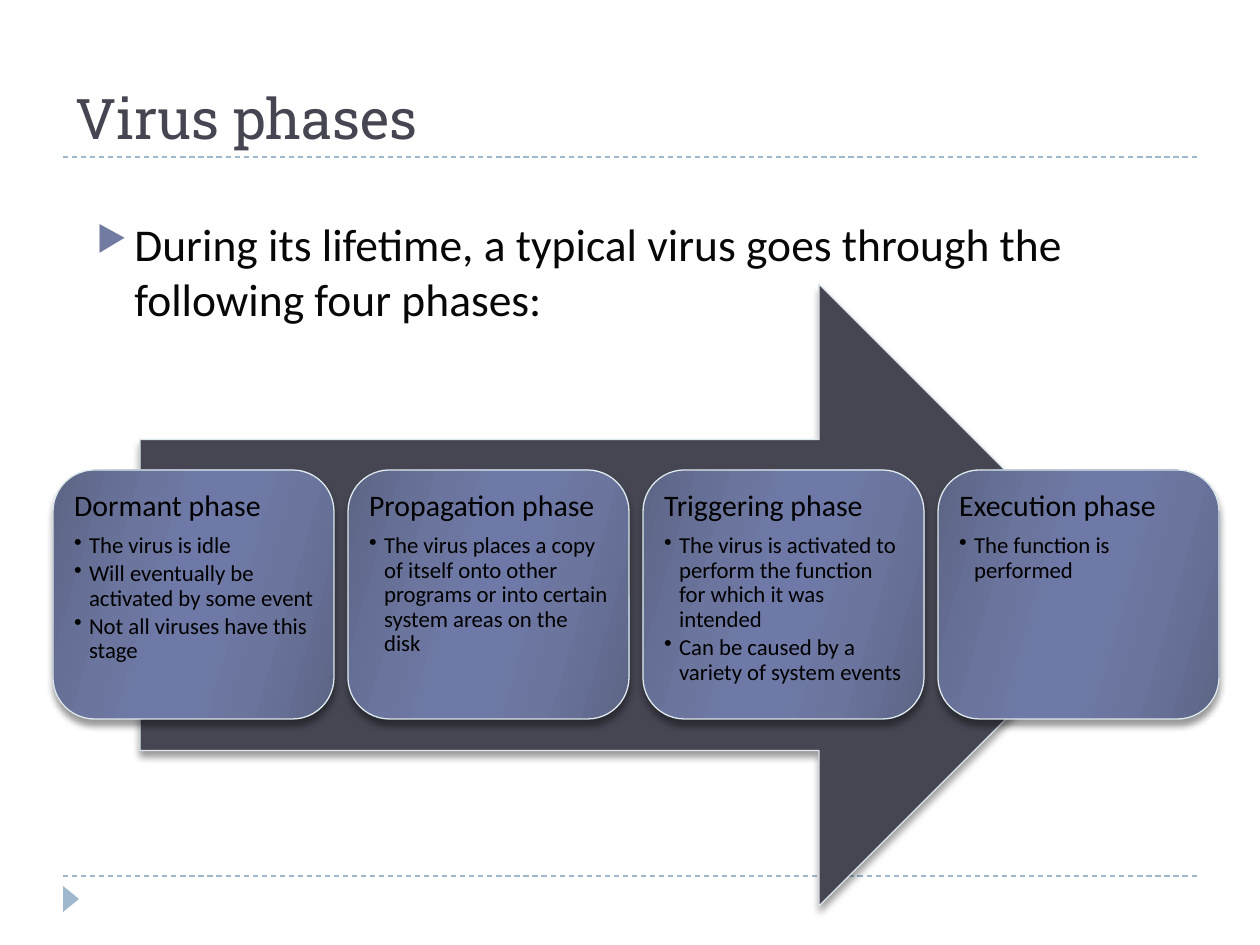
import lxml.etree
import pptx
import pptx.dml.color
import pptx.enum.dml
import pptx.enum.shapes
import pptx.enum.text
import pptx.oxml.ns
import pptx.util

RGBColor = pptx.dml.color.RGBColor
Pt = pptx.util.Pt
qn = pptx.oxml.ns.qn
SHAPES = pptx.enum.shapes.MSO_SHAPE
ANCHORS = pptx.enum.text.MSO_ANCHOR

WHITE = RGBColor(0xFF, 0xFF, 0xFF)
SLATE = RGBColor(0x46, 0x46, 0x53)
PALE_BLUE = RGBColor(0x9F, 0xB8, 0xCD)
OUTLINE = RGBColor(0xDD, 0xE9, 0xEC)
BULLET_BLUE = RGBColor(0x72, 0x7C, 0xA3)
INK = RGBColor(0x07, 0x07, 0x08)
BLACK = RGBColor(0x00, 0x00, 0x00)
CARD_EDGE = RGBColor(0x5D, 0x65, 0x85)
CARD_MIDDLE = RGBColor(0x6B, 0x75, 0x9E)
CARD_CENTER = RGBColor(0x6E, 0x79, 0xA7)
CARD_STOPS = [(0, CARD_EDGE), (30, CARD_MIDDLE), (45, CARD_CENTER),
              (55, CARD_CENTER), (73, CARD_MIDDLE), (100, CARD_EDGE)]
PX = 914400 / 126


def px(*lengths):
    return [round(length * PX) for length in lengths]


def write(paragraph, text, size, color, font="Calibri", bullet=None, indent=0, **formats):
    run = paragraph.add_run()
    run.text = text
    for name, value in {"size": Pt(size), "name": font}.items():
        setattr(run.font, name, value)
    run.font.color.rgb = color
    for name, value in formats.items():
        setattr(paragraph, name, value)
    paragraph.alignment = pptx.enum.text.PP_ALIGN.LEFT
    if bullet:
        properties = paragraph._p.get_or_add_pPr()
        properties.set("marL", str(px(indent)[0]))
        properties.set("indent", str(px(-indent)[0]))
        if bullet == "▶":
            holder = lxml.etree.SubElement(properties, qn("a:buClr"))
            lxml.etree.SubElement(holder, qn("a:srgbClr"), val=str(BULLET_BLUE))
            lxml.etree.SubElement(properties, qn("a:buSzPct"), val="76000")
        lxml.etree.SubElement(properties, qn("a:buChar"), char=bullet)


presentation = pptx.Presentation()
presentation.slide_width, presentation.slide_height = px(1260, 945)
slide = presentation.slides.add_slide(presentation.slide_layouts[6])
slide.background.fill.solid()
slide.background.fill.fore_color.rgb = WHITE

for y in (876, 157):
    rule = slide.shapes.add_connector(
        pptx.enum.shapes.MSO_CONNECTOR.STRAIGHT, *px(63, y, 1197, y))
    rule.line.color.rgb = PALE_BLUE
    rule.line.width = Pt(0.75)
    rule.line.dash_style = pptx.enum.dml.MSO_LINE.DASH
    lxml.etree.SubElement(rule._element.spPr, qn("a:effectLst"))

marker = slide.shapes.add_shape(SHAPES.ISOSCELES_TRIANGLE, *px(58, 891, 26, 16))
marker.rotation = 90
marker.shadow.inherit = False
marker.fill.solid()
marker.fill.fore_color.rgb = PALE_BLUE
marker.line.fill.background()

title = slide.shapes.add_textbox(*px(63, 21, 1134, 136)).text_frame
title.word_wrap = True
title.vertical_anchor = ANCHORS.BOTTOM
write(title.paragraphs[0], "Virus phases", 32, SLATE, "Roboto Slab")

body = slide.shapes.add_textbox(*px(84, 210, 1103, 640)).text_frame
body.word_wrap = True
write(body.paragraphs[0],
      "During its lifetime, a typical virus goes through the following four phases:",
      26, INK, bullet="▶", indent=38, space_before=Pt(6))

arrow = slide.shapes.add_shape(SHAPES.RIGHT_ARROW, *px(140, 284, 990, 622))
arrow.fill.solid()
arrow.fill.fore_color.rgb = SLATE

phases = [
    ("Dormant phase", ["The virus is idle",
                       "Will eventually be activated by some event",
                       "Not all viruses have this stage"]),
    ("Propagation phase", ["The virus places a copy of itself onto other programs "
                           "or into certain system areas on the disk"]),
    ("Triggering phase", ["The virus is activated to perform the function "
                          "for which it was intended",
                          "Can be caused by a variety of system events"]),
    ("Execution phase", ["The function is performed"]),
]
cards = []
for index, (heading, points) in enumerate(phases):
    card = slide.shapes.add_shape(SHAPES.ROUNDED_RECTANGLE, *px(53 + 295 * index, 470, 281, 249))
    cards.append(card)
    card.fill.gradient()
    card.fill.gradient_angle = 344
    stops = card._element.spPr.find(".//" + qn("a:gsLst"))
    for stop in list(stops):
        stops.remove(stop)
    for position, color in CARD_STOPS:
        stop = lxml.etree.SubElement(stops, qn("a:gs"), pos=str(position * 1000))
        lxml.etree.SubElement(stop, qn("a:srgbClr"), val=str(color))

    frame = card.text_frame
    margin = px(9)[0]
    frame_format = {"word_wrap": True, "vertical_anchor": ANCHORS.TOP,
                    "margin_left": margin, "margin_right": margin,
                    "margin_top": margin, "margin_bottom": margin}
    for name, value in frame_format.items():
        setattr(frame, name, value)
    write(frame.paragraphs[0], heading, 17, BLACK, line_spacing=0.9, space_after=Pt(6))
    for point in points:
        write(frame.add_paragraph(), point, 13, BLACK, bullet="•", indent=15,
              level=1, line_spacing=0.9, space_after=Pt(2))

for shape in [arrow] + cards:
    shape.line.color.rgb = OUTLINE
    shape.line.width = Pt(0.75)
    shape.shadow.inherit = False
    effects = shape._element.spPr.find(qn("a:effectLst"))
    shadow = lxml.etree.SubElement(effects, qn("a:outerShdw"), blurRad=str(Pt(4)),
                                   dist=str(Pt(3.4)), dir="5400000", rotWithShape="0")
    shade = lxml.etree.SubElement(shadow, qn("a:srgbClr"), val=str(BLACK))
    lxml.etree.SubElement(shade, qn("a:alpha"), val="40000")

presentation.save("out.pptx")
